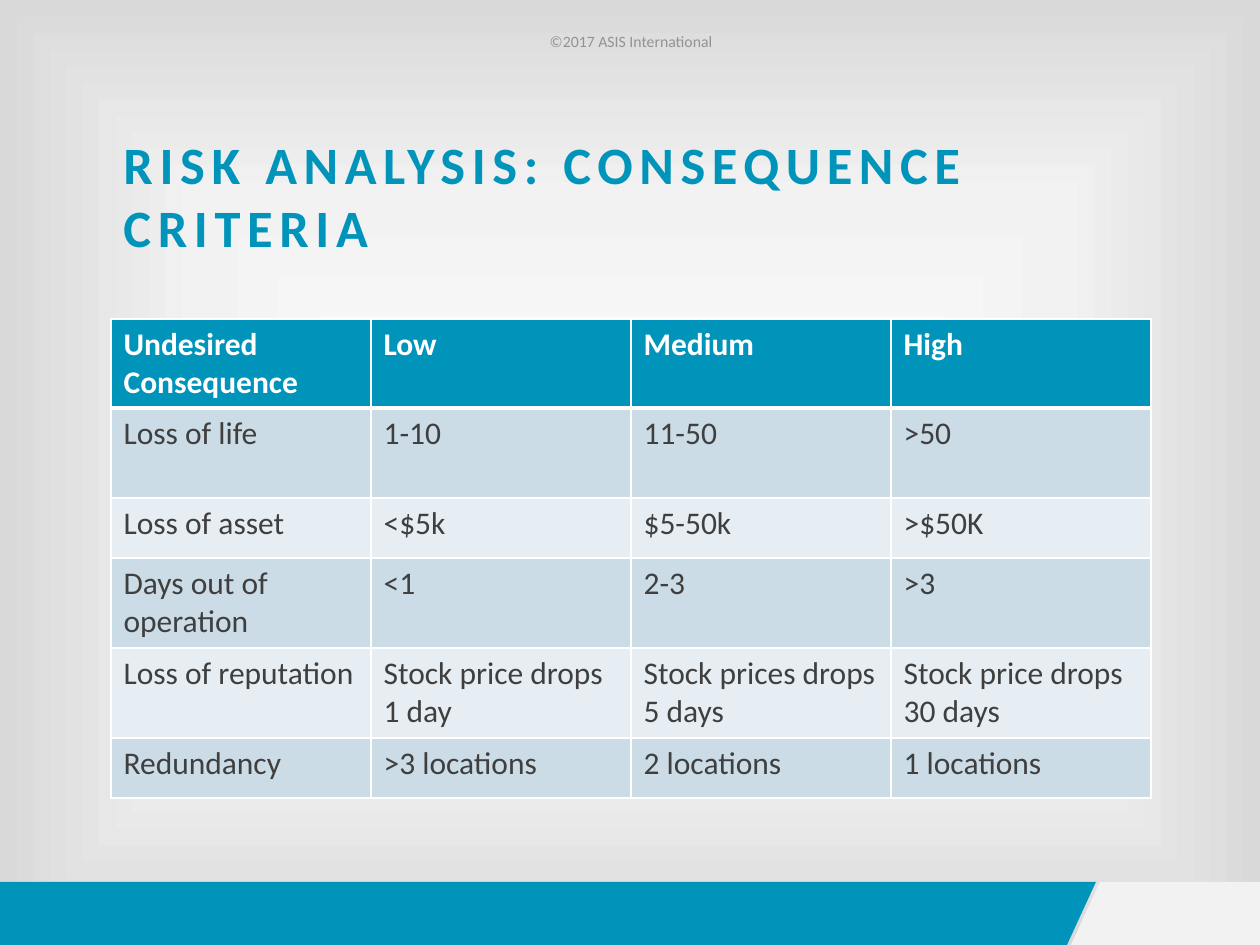
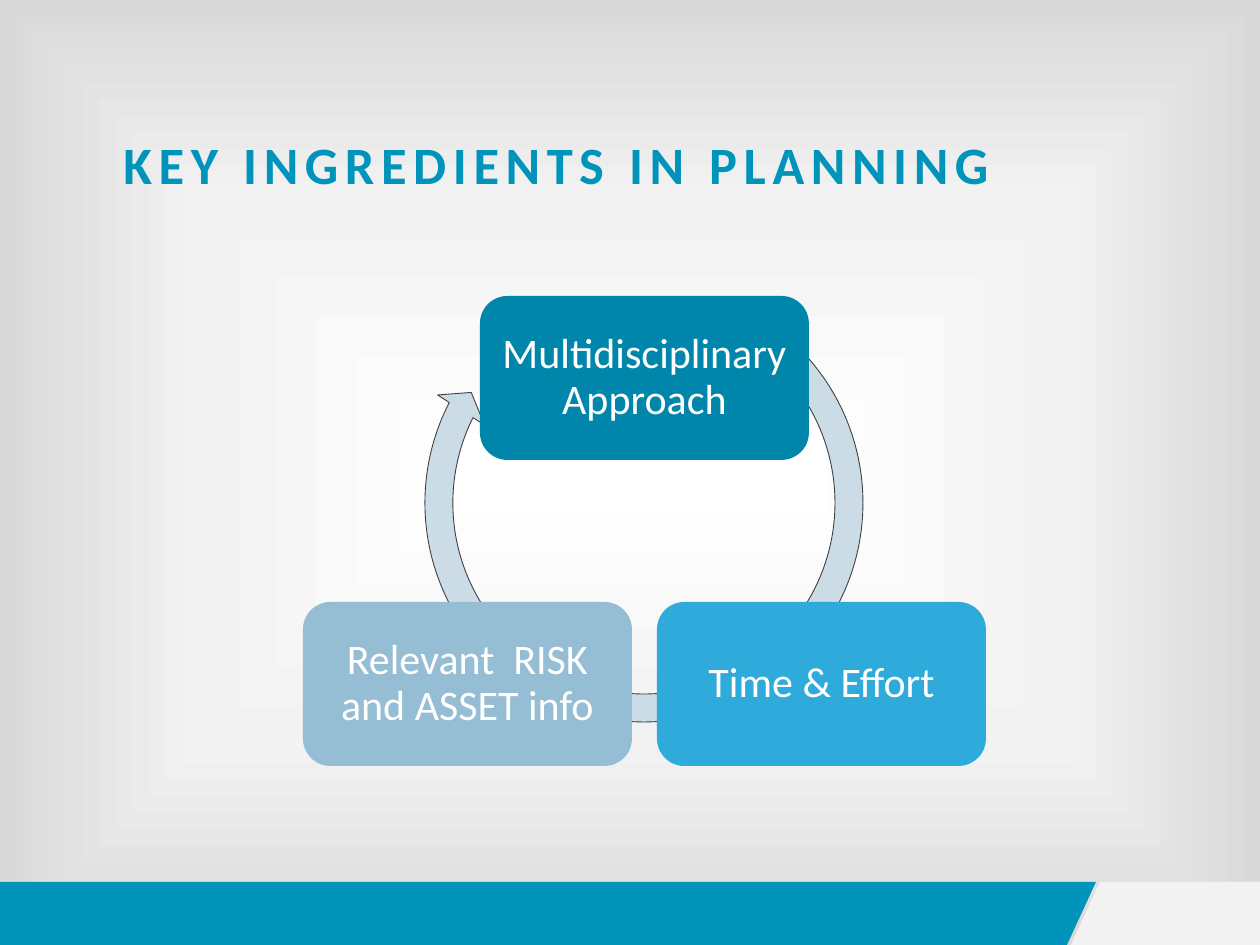
import pptx
import pptx.dml.color
import pptx.enum.shapes
import pptx.enum.text
import pptx.oxml
import pptx.oxml.ns
import pptx.util

RGBColor = pptx.dml.color.RGBColor
SHAPE = pptx.enum.shapes.MSO_SHAPE
ALIGN = pptx.enum.text.PP_ALIGN
ANCHOR = pptx.enum.text.MSO_ANCHOR

BLUE = RGBColor(0x00, 0x94, 0xBB)
DEEP_BLUE = RGBColor(0x00, 0x86, 0xAA)
SKY_BLUE = RGBColor(0x2E, 0xAA, 0xDB)
SOFT_BLUE = RGBColor(0x95, 0xBD, 0xD3)
PALE_BLUE = RGBColor(0xCC, 0xDC, 0xE7)
FAINT_BLUE = RGBColor(0xE7, 0xEE, 0xF3)
WHITE = RGBColor(0xFF, 0xFF, 0xFF)
LIGHT_GRAY = RGBColor(0xF2, 0xF2, 0xF2)
EDGE_GRAY = RGBColor(0xD9, 0xD9, 0xD9)
MID_GRAY = RGBColor(0x93, 0x93, 0x93)
DARK_GRAY = RGBColor(0x3F, 0x3F, 0x3F)

FONT = "Calibri"
SCALE = 914400 / 126  # EMU in one px
NAMESPACE = pptx.oxml.ns.nsdecls("a")


def px(*lengths):
    return [pptx.util.Emu(round(length * SCALE)) for length in lengths]


def write(frame, text, size, color, bold=False, align=ALIGN.LEFT):
    frame.word_wrap = True
    para = frame.paragraphs[0]
    para.alignment = align
    span = para.add_run()
    span.text = text
    span.font.name = FONT
    span.font.size = pptx.util.Pt(size)
    span.font.bold = bold
    span.font.color.rgb = color
    return para


deck = pptx.Presentation()
deck.slide_width, deck.slide_height = px(1260, 945)

# Shared background: a gradient from the centre to the edges
deck.slide_master.background.fill.gradient()
gradient = deck.slide_master.element.find(".//" + pptx.oxml.ns.qn("a:gradFill"))
stops = "".join(
    f'<a:gs pos="{position}000"><a:srgbClr val="{color}"/></a:gs>'
    for position, color in [(0, WHITE), (58, LIGHT_GRAY), (100, EDGE_GRAY)]
)
gradient.getparent().replace(gradient, pptx.oxml.parse_xml(
    f'<a:gradFill {NAMESPACE} rotWithShape="1"><a:gsLst>{stops}</a:gsLst>'
    '<a:path path="rect"><a:fillToRect l="50000" t="50000" r="50000" b="50000"/>'
    '</a:path></a:gradFill>'))

# Shared bottom bands and titles
BANDS = [
    (BLUE, [(0, 882), (1096, 882), (1067, 945), (0, 945)]),
    (LIGHT_GRAY, [(1100, 882), (1260, 882), (1260, 945), (1071, 945)]),
]
TITLES = ["RISK ANALYSIS: CONSEQUENCE CRITERIA", "KEY INGREDIENTS IN PLANNING"]
pages = []
for title in TITLES:
    page = deck.slides.add_slide(deck.slide_layouts[6])
    pages.append(page)
    for color, corners in BANDS:
        outline = page.shapes.build_freeform(*corners[0], scale=SCALE)
        outline.add_line_segments(corners[1:], close=True)
        band = outline.convert_to_shape()
        band.shadow.inherit = False
        band.fill.solid()
        band.fill.fore_color.rgb = color
        band.line.fill.background()
    box = page.shapes.add_textbox(*px(111, 126, 1040, 158))
    para = write(box.text_frame, title, 30, BLUE, bold=True)
    para.runs[0].font._element.set("spc", "380")

table_page, cycle_page = pages

# Copyright line
box = table_page.shapes.add_textbox(*px(253, 25, 756, 32))
box.text_frame.vertical_anchor = ANCHOR.MIDDLE
write(box.text_frame, "©2017 ASIS International", 9, MID_GRAY, align=ALIGN.CENTER)

# Consequence table
CRITERIA = [
    ["Undesired Consequence", "Low", "Medium", "High"],
    ["Loss of life", "1-10", "11-50", ">50"],
    ["Loss of asset", "<$5k", "$5-50k", ">$50K"],
    ["Days out of operation", "<1", "2-3", ">3"],
    ["Loss of reputation", "Stock price drops 1 day",
     "Stock prices drops 5 days", "Stock price drops 30 days"],
    ["Redundancy", ">3 locations", "2 locations", "1 locations"],
]
ROW_HEIGHTS = [89, 90, 60, 90, 90, 60]
table = table_page.shapes.add_table(
    len(CRITERIA), 4, *px(111, 319, 1040, sum(ROW_HEIGHTS))).table
for column in table.columns:
    column.width = px(260)[0]
for row, height in zip(table.rows, ROW_HEIGHTS):
    row.height = px(height)[0]
for row_index, texts in enumerate(CRITERIA):
    header = row_index == 0
    for column_index, text in enumerate(texts):
        cell = table.cell(row_index, column_index)
        write(cell.text_frame, text, 18, WHITE if header else DARK_GRAY, bold=header)
        # White borders, thicker under the header
        widths = {"L": 1, "R": 1, "T": 3 if row_index == 1 else 1, "B": 3 if header else 1}
        for side, width in widths.items():
            cell._tc.get_or_add_tcPr().append(pptx.oxml.parse_xml(
                f'<a:ln{side} {NAMESPACE} w="{width * 12700}"><a:solidFill>'
                f'<a:srgbClr val="{WHITE}"/></a:solidFill></a:ln{side}>'))
        cell.fill.solid()
        cell.fill.fore_color.rgb = BLUE if header else (FAINT_BLUE, PALE_BLUE)[row_index % 2]

# Cycle arrow behind the ingredients
arrow = cycle_page.shapes.add_shape(SHAPE.CIRCULAR_ARROW, *px(411, 270, 466, 466))
for index, value in enumerate([0.06, 3.41, 124.16, 182.74, 0.06]):
    arrow.adjustments[index] = value
arrow.shadow.inherit = False
arrow.fill.solid()
arrow.fill.fore_color.rgb = PALE_BLUE
arrow.line.color.rgb = DARK_GRAY
arrow.line.width = pptx.util.Pt(0.5)

# Ingredients
INGREDIENTS = [
    ("Multidisciplinary Approach", 480, 296, DEEP_BLUE),
    ("Time & Effort", 657, 602, SKY_BLUE),
    ("Relevant  RISK and ASSET info", 303, 602, SOFT_BLUE),
]
for text, left, top, color in INGREDIENTS:
    box = cycle_page.shapes.add_shape(SHAPE.ROUNDED_RECTANGLE, *px(left, top, 329, 164))
    box.shadow.inherit = False
    box.fill.solid()
    box.fill.fore_color.rgb = color
    box.line.fill.background()
    frame = box.text_frame
    frame.vertical_anchor = ANCHOR.MIDDLE
    frame.margin_left, frame.margin_right = px(12, 12)
    para = write(frame, text, 24, WHITE, align=ALIGN.CENTER)
    para.line_spacing = 0.9

deck.save("out.pptx")
